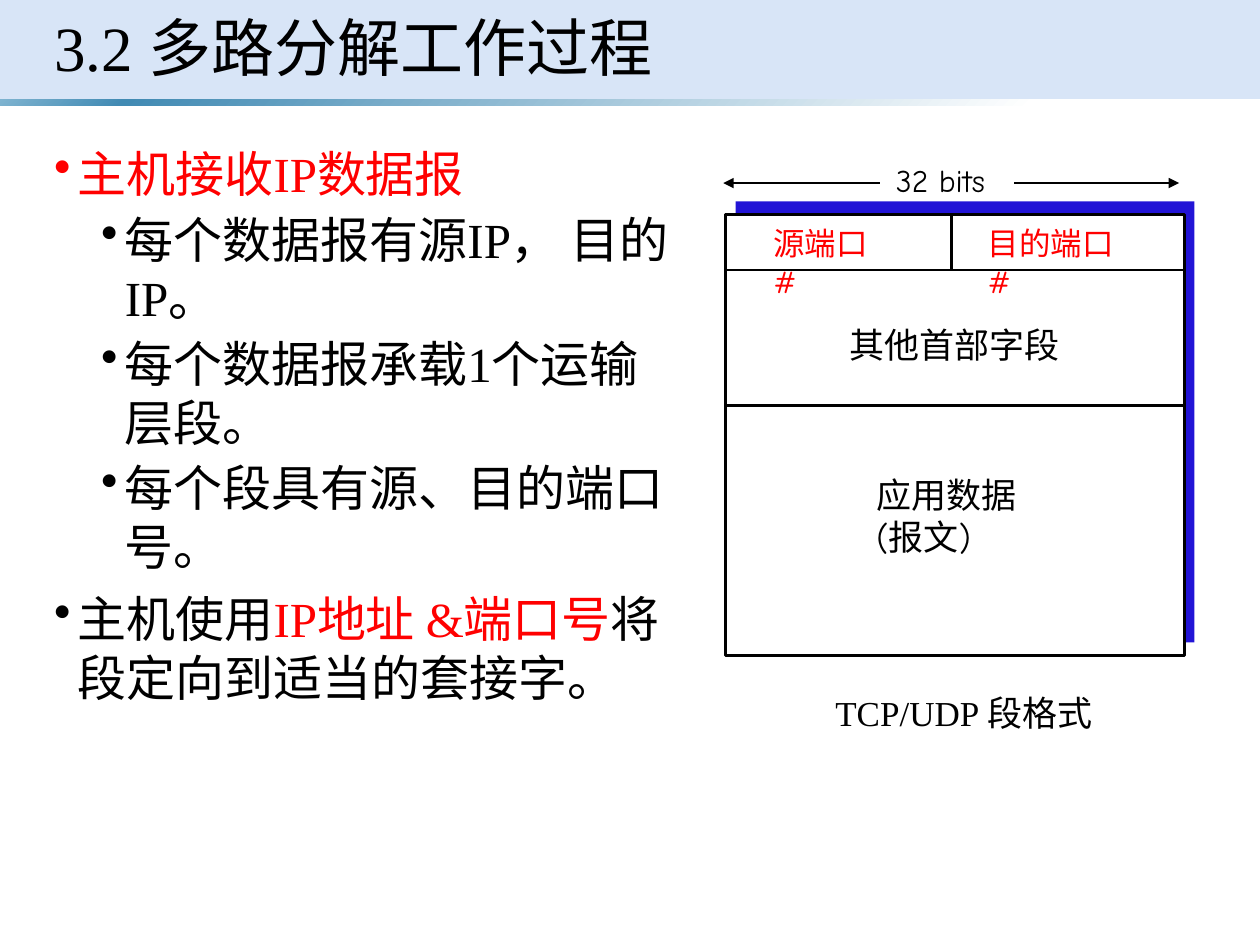
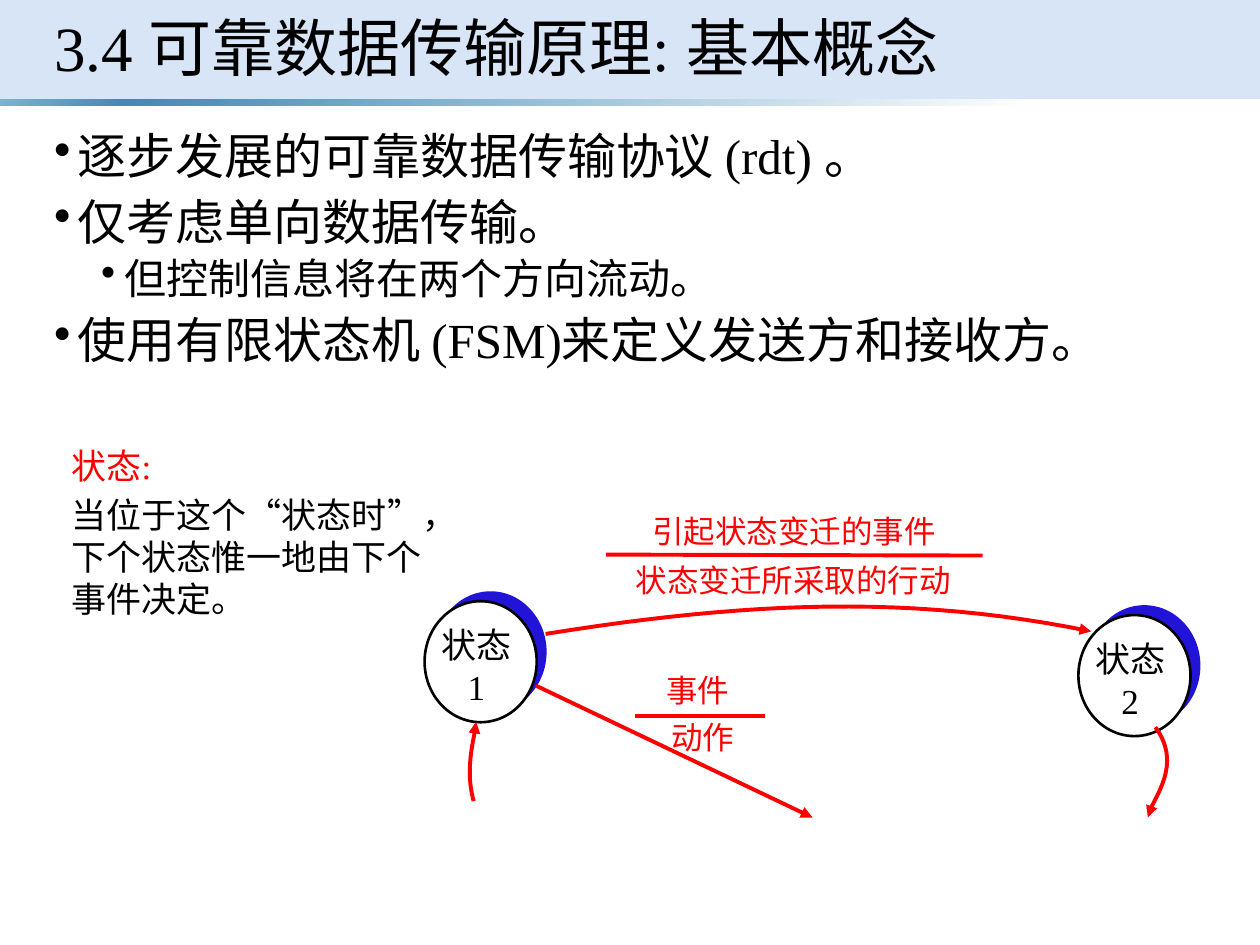
from lxml import etree
from pptx import Presentation
from pptx.dml.color import RGBColor
from pptx.enum.shapes import MSO_CONNECTOR, MSO_SHAPE
from pptx.enum.text import MSO_ANCHOR, MSO_AUTO_SIZE, PP_ALIGN
from pptx.oxml.ns import qn
from pptx.util import Cm, Pt

RECTANGLE, OVAL = MSO_SHAPE.RECTANGLE, MSO_SHAPE.OVAL
STRAIGHT = MSO_CONNECTOR.STRAIGHT
TOP, MIDDLE = MSO_ANCHOR.TOP, MSO_ANCHOR.MIDDLE
LEFT, CENTER = PP_ALIGN.LEFT, PP_ALIGN.CENTER
NO_AUTOFIT = MSO_AUTO_SIZE.NONE

COLORS = {
    "black": "000000",
    "white": "FFFFFF",
    "red": "FF0000",
    "shadow": "2214D6",
    "band": "C8DAF4",
}
STRIP_STOPS = [(0, "7EB3D0"), (10, "418AB3"), (82, "FFFFFF"), (96, "FFFFFF")]
SERIF, COMIC = "Times New Roman", "Comic Neue"
SLIDE_WIDTH, SLIDE_HEIGHT = 25.4, 19.05
INSET = 0.25
HANGING = 0.48
LEVEL_INDENTS = [0.48, 1.43]
LEVEL_SPACES = [7.5, 3.8]
CURVE_STEPS = 24


def color(name):
    return RGBColor.from_string(COLORS[name])


def lengths(values):
    return [Cm(value) for value in values]


def add_run(paragraph, text, size, color_name="black", font=SERIF):
    run = paragraph.add_run()
    run.text = text
    run.font.size = Pt(size)
    run.font.name = font
    run.font.color.rgb = color(color_name)


def add_shape(slide, kind, box, fill, outline=None):
    shape = slide.shapes.add_shape(kind, *lengths(box))
    shape.shadow.inherit = False
    shape.fill.solid()
    shape.fill.fore_color.rgb = color(fill)
    if outline:
        shape.line.color.rgb = color(outline)
        shape.line.width = Pt(1.5)
    else:
        shape.line.fill.background()
    return shape


def add_raised_shape(slide, kind, box, rise):
    left, top, width, height = box
    add_shape(slide, kind, (left + 0.2, top - rise, width, height), "shadow")
    add_shape(slide, kind, box, "white", "black")


def add_header(slide):
    band = add_shape(slide, RECTANGLE, (0, 0, SLIDE_WIDTH, 2), "band")
    band_color = band.fill._xPr.find(".//" + qn("a:srgbClr"))
    etree.SubElement(band_color, qn("a:alpha"), val="70000")

    strip = add_shape(slide, RECTANGLE, (0, 2, SLIDE_WIDTH, 0.13), "white")
    strip.fill.gradient()
    strip.fill.gradient_angle = 315
    stops = strip.fill._xPr.find(".//" + qn("a:gsLst"))
    for stop in list(stops):
        stops.remove(stop)
    for percent, value in STRIP_STOPS:
        stop = etree.SubElement(stops, qn("a:gs"), pos=str(percent * 1000))
        etree.SubElement(stop, qn("a:srgbClr"), val=value)

    tree = slide.shapes._spTree
    for index, shape in enumerate((band, strip)):
        tree.insert(2 + index, shape._element)


def add_titled_slide(presentation, text):
    slide = presentation.slides.add_slide(presentation.slide_layouts[5])
    add_header(slide)
    title = slide.shapes.title
    title.left, title.top, title.width, title.height = lengths((0.84, 0, 23.65, 2.06))
    frame = title.text_frame
    frame.auto_size = NO_AUTOFIT
    frame.word_wrap = True
    frame.vertical_anchor = MIDDLE
    paragraph = frame.paragraphs[0]
    paragraph.alignment = LEFT
    paragraph.line_spacing = 0.9
    add_run(paragraph, text, 36)
    return slide


def add_frame(slide, box, left_inset=INSET, right_inset=INSET):
    frame = slide.shapes.add_textbox(*lengths(box)).text_frame
    frame.word_wrap = True
    frame.vertical_anchor = TOP
    frame.margin_left, frame.margin_right = Cm(left_inset), Cm(right_inset)
    return frame


def next_paragraph(frame, index):
    return frame.add_paragraph() if index else frame.paragraphs[0]


def add_bullets(slide, box, items, line_spacing):
    frame = add_frame(slide, box)
    for index, (level, size, runs) in enumerate(items):
        paragraph = next_paragraph(frame, index)
        properties = paragraph._p.get_or_add_pPr()
        properties.set("marL", str(Cm(LEVEL_INDENTS[level])))
        properties.set("indent", str(-Cm(HANGING)))
        etree.SubElement(properties, qn("a:buChar"), char="•")
        paragraph.level = level
        paragraph.line_spacing = line_spacing
        if index:
            paragraph.space_before = Pt(LEVEL_SPACES[level])
        for text, color_name in runs:
            add_run(paragraph, text, size, color_name)


def add_label(slide, box, lines, size, color_name="black", font=COMIC, right_inset=0):
    frame = add_frame(slide, box, right_inset=right_inset)
    for index, line in enumerate(lines):
        add_run(next_paragraph(frame, index), line, size, color_name, font)


def style_line(shape, color_name, width, arrow):
    shape.line.color.rgb = color(color_name)
    shape.line.width = Pt(width)
    if arrow:
        etree.SubElement(shape.line._get_or_add_ln(), qn("a:tailEnd"), type="triangle")


def add_line(slide, ends, color_name="black", width=1.5, arrow=False):
    connector = slide.shapes.add_connector(STRAIGHT, *lengths(ends))
    style_line(connector, color_name, width, arrow)
    etree.SubElement(connector._element.spPr, qn("a:effectLst"))


def curve_point(controls, t):
    weights = ((1 - t) ** 3, 3 * t * (1 - t) ** 2, 3 * t * t * (1 - t), t ** 3)
    return [
        Cm(sum(weight * point[axis] for weight, point in zip(weights, controls)))
        for axis in (0, 1)
    ]


def add_curved_arrow(slide, *controls):
    points = [curve_point(controls, step / CURVE_STEPS) for step in range(CURVE_STEPS + 1)]
    builder = slide.shapes.build_freeform(*points[0])
    builder.add_line_segments(points[1:], close=False)
    curve = builder.convert_to_shape()
    curve.shadow.inherit = False
    curve.fill.background()
    style_line(curve, "red", 2.25, True)


def add_state(slide, left, top, number):
    add_raised_shape(slide, OVAL, (left, top, 2.26, 2.44), 0.2)
    frame = add_frame(slide, (left + 0.08, top + 0.33, 1.93, 1.96), 0, 0)
    for index, text in enumerate(("状态", number)):
        paragraph = next_paragraph(frame, index)
        paragraph.alignment = CENTER
        add_run(paragraph, text, 20)


def add_state_note(slide):
    frame = add_frame(slide, (1.19, 8.84, 7.7, 3.96))
    add_run(frame.paragraphs[0], "状态:", 20, "red")
    paragraph = frame.add_paragraph()
    paragraph.space_before = Pt(4)
    for text, font in (
        ("当位于这个", SERIF),
        ("“", COMIC),
        ("状态时", SERIF),
        ("”", COMIC),
        ("，下个状态惟一地由下个事件决定。", SERIF),
    ):
        add_run(paragraph, text, 20, font=font)


def add_segment_format(slide):
    left, top, width, height = 14.63, 4.32, 9.25, 8.89
    ports_bottom, header_bottom, port_divider = 5.44, 8.18, 19.18
    add_raised_shape(slide, RECTANGLE, (left, top, width, height), 0.26)
    add_label(slide, (15.34, 4.39, 3.15, 1.02), ["源端口 #"], 18, "red", right_inset=0.8)
    add_label(slide, (19.66, 4.39, 3.78, 1.02), ["目的端口 #"], 18, "red", right_inset=0.8)
    for y in (ports_bottom, header_bottom):
        add_line(slide, (left, y, left + width, y))
    add_line(slide, (port_divider, ports_bottom, port_divider, top))
    add_label(slide, (17.81, 3.12, 2.64, 1.02), ["32 bits"], 18)
    add_line(slide, (20.45, 3.69, 23.77, 3.69), arrow=True)
    add_line(slide, (17.73, 3.69, 14.58, 3.69), arrow=True)
    add_label(slide, (17.42, 9.42, 3.33, 1.96), ["应用数据", "(报文)"], 20)
    add_label(slide, (16.87, 6.4, 4.75, 1.09), ["其他首部字段"], 20)
    add_label(slide, (16.59, 13.82, 5.87, 1.09), ["TCP/UDP 段格式"], 20, font=SERIF)


def add_state_machine(slide):
    add_state(slide, 8.56, 12.12, "1")
    add_curved_arrow(slide, (11, 12.78), (15.11, 12.12), (18.39, 11.99), (22, 12.73))
    add_state(slide, 21.74, 12.4, "2")
    for box, text in (
        ((12.9, 10.19, 6.22, 1.02), "引起状态变迁的事件"),
        ((12.57, 11.18, 6.86, 1.02), "状态变迁所采取的行动"),
        ((13.18, 13.41, 1.78, 1.02), "事件"),
        ((13.28, 14.35, 1.78, 1.02), "动作"),
    ):
        add_label(slide, box, [text], 18, "red")
    add_line(slide, (12.22, 11.18, 19.81, 11.2), "red", 2.25)
    add_line(slide, (12.8, 14.43, 15.42, 14.43), "red", 2.25)
    add_curved_arrow(slide, (9.55, 16.15), (9.35, 15.44), (9.6, 14.78), (9.6, 14.55))
    add_curved_arrow(slide, (23.29, 14.66), (23.9, 15.47), (23.14, 16.21), (23.14, 16.48))
    add_line(slide, (10.8, 13.82, 16.38, 16.48), "red", 2.25, arrow=True)


def build_demultiplexing(presentation):
    slide = add_titled_slide(presentation, "3.2 多路分解工作过程")
    add_bullets(slide, (0.84, 2.77, 13.08, 12.7), [
        (0, 28, [("主机接收IP数据报", "red")]),
        (1, 28, [("每个数据报有源IP， 目的IP。", "black")]),
        (1, 28, [("每个数据报承载1个运输层段。", "black")]),
        (1, 28, [("每个段具有源、目的端口号。", "black")]),
        (0, 28, [
            ("主机使用", "black"),
            ("IP地址 &端口号", "red"),
            ("将段定向到适当的套接字。", "black"),
        ]),
    ], 1.0)
    add_segment_format(slide)


def build_reliable_transfer(presentation):
    slide = add_titled_slide(presentation, "3.4 可靠数据传输原理: 基本概念")
    add_bullets(slide, (0.84, 2.54, 23.65, 5.79), [
        (0, 28, [("逐步发展的可靠数据传输协议 (rdt) 。", "black")]),
        (0, 28, [("仅考虑单向数据传输。", "black")]),
        (1, 24, [("但控制信息将在两个方向流动。", "black")]),
        (0, 28, [("使用有限状态机 (FSM)来定义发送方和接收方。", "black")]),
    ], 0.9)
    add_state_note(slide)
    add_state_machine(slide)


def main():
    presentation = Presentation()
    presentation.slide_width = Cm(SLIDE_WIDTH)
    presentation.slide_height = Cm(SLIDE_HEIGHT)
    build_demultiplexing(presentation)
    build_reliable_transfer(presentation)
    presentation.save("out.pptx")


if __name__ == "__main__":
    main()
